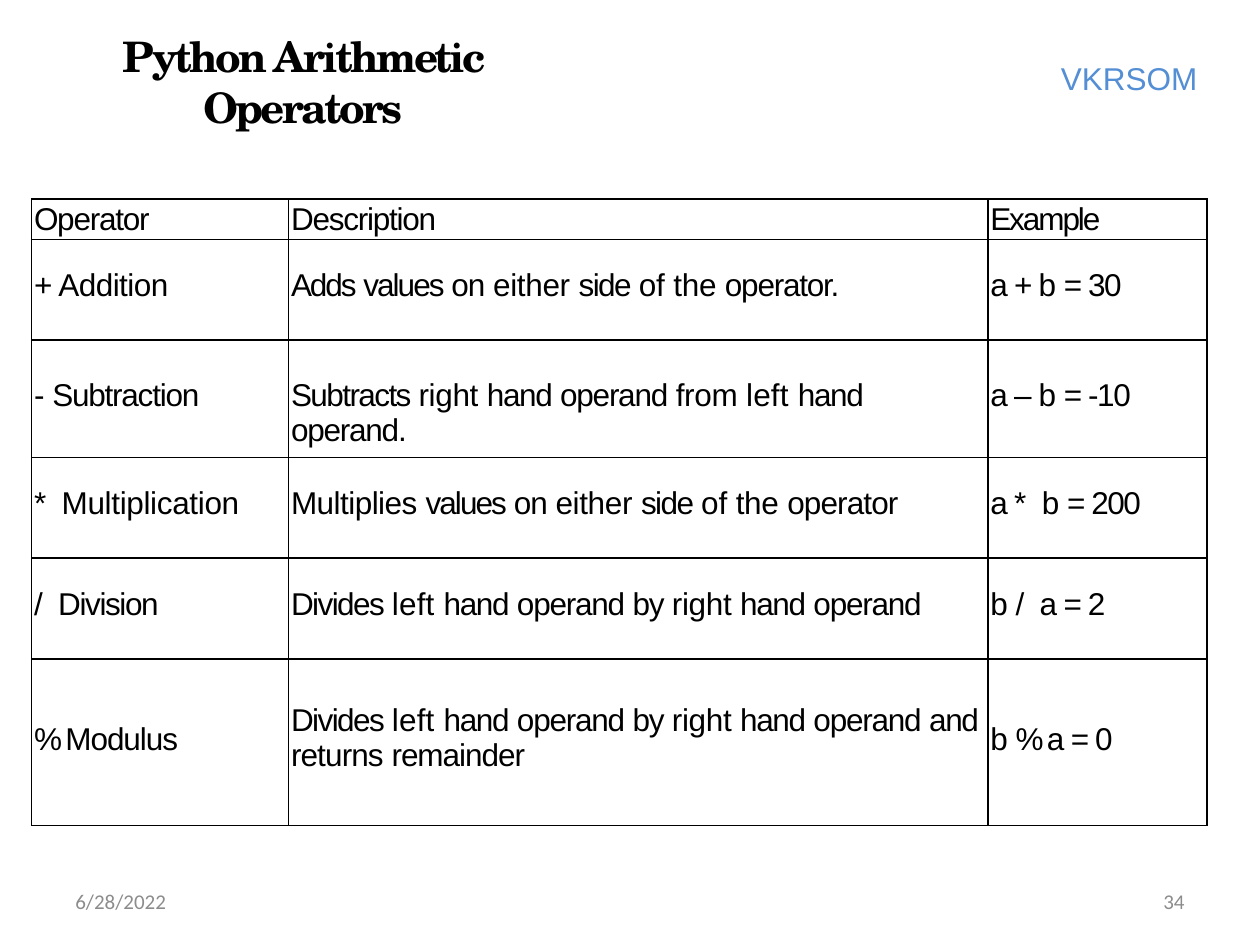
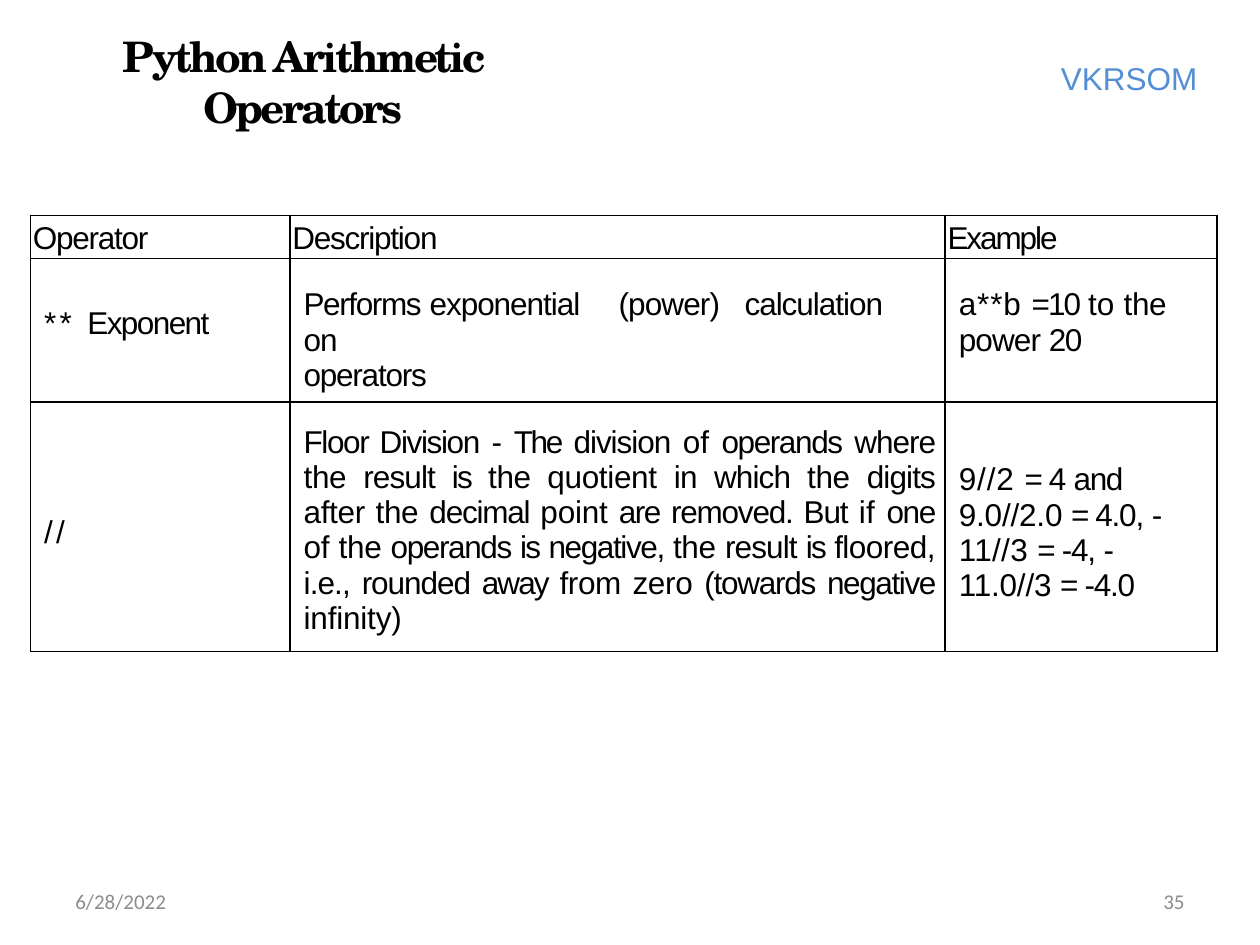
from dataclasses import dataclass
from typing import Optional

from lxml.etree import SubElement
from pptx import Presentation
from pptx.dml.color import RGBColor
from pptx.enum.text import MSO_ANCHOR as Anchor, PP_ALIGN as Align
from pptx.oxml.ns import qn
from pptx.util import Emu, Inches, Pt

SLIDE_WIDTH, SLIDE_HEIGHT = Inches(10), Inches(7.5)
GRID_COLUMNS, GRID_ROWS = 100, 75

BLACK = RGBColor(0x00, 0x00, 0x00)
WHITE = RGBColor(0xFF, 0xFF, 0xFF)
SCHOOL_BLUE = RGBColor(0x54, 0x8E, 0xD4)
FOOTER_GREY = RGBColor(0x8C, 0x8C, 0x8C)

TITLE = "Python Arithmetic Operators"
SCHOOL = "VKRSOM"
DATE = "6/28/2022"
HEADINGS = ("Operator", "Description", "Example")

DEFAULT_TRACKING = -0.7
WORDS_BY_TRACKING = {
    -3.1: "%",
    -1.6: "+ =",
    -1.4: "a The",
    -1.2: "Example Adds",
    -1.1: "– values =10 away",
    -1.0: "is zero",
    -0.9: "side Subtracts Divides Exponent 30 200 2 0 20 4",
    -0.8: "hand by and Performs Floor Division operands are one negative, negative -10",
    -0.6: "b on Modulus exponential calculation division where rounded remainder But",
    -0.5: "- operator returns (power) power result which digits i.e.,",
    -0.3: "Addition Multiplies in floored,",
    -0.2: "Multiplication either the right from quotient after zero",
    -0.1: "of point infinity) 9.0//2.0 11.0//3",
    0.1: "left to",
    0.2: "if 11//3",
    0.5: "a**b 9//2",
    1.9: "* / ** //",
}
TRACKING = {word: points for points, words in WORDS_BY_TRACKING.items() for word in words.split()}


@dataclass(frozen=True)
class Box:
    column: float
    row: float
    columns: float
    rows: float


@dataclass(frozen=True)
class TextStyle:
    font: str
    size: float
    color: RGBColor
    bold: bool = False
    tracking: float = 0


@dataclass(frozen=True)
class Entry:
    text: str
    top: float
    align: Optional[Align] = None
    separator: str = " "
    tabs: tuple[float, ...] = ()


@dataclass(frozen=True)
class OperatorSlide:
    number: int
    left: float
    top: float
    columns: tuple[float, ...]
    rows: tuple[float, ...]
    indent: float
    heading_top: float
    entries: tuple[tuple[Entry, ...], ...]


TITLE_STYLE = TextStyle("TeX Gyre Schola", 24, BLACK, True, -1.6)
SCHOOL_STYLE = TextStyle("Arial", 18, SCHOOL_BLUE)
FOOTER_STYLE = TextStyle("Calibri", 12, FOOTER_GREY)
TITLE_BOX = Box(1.7, 4.3, 44.7, 4.3)
SCHOOL_BOX = Box(84.2, 4.7, 14, 3.3)
DATE_BOX = Box(5, 69.5, 23.3, 4)
NUMBER_BOX = Box(71.7, 69.5, 23.3, 4)
HEADING_INDENT = 0.02


def level_entries(top: float, *texts: str) -> tuple[Entry, ...]:
    return tuple(Entry(text, top) for text in texts)


OPERATOR_SLIDES = (
    OperatorSlide(
        34, 2.5, 15.8, (20.4, 55.5, 17.4), (3.1, 8, 9.3, 8, 8, 13.2), 0.02, 0.02,
        (
            level_entries(0.23, "+ Addition", "Adds values on either side of the operator.", "a + b = 30"),
            level_entries(0.3, "- Subtraction",
                          "Subtracts right hand operand from left hand operand.", "a – b = -10"),
            level_entries(0.23, "* Multiplication",
                          "Multiplies values on either side of the operator", "a * b = 200"),
            level_entries(0.23, "/ Division", "Divides left hand operand by right hand operand", "b / a = 2"),
            (
                Entry("% Modulus", 0.5),
                Entry("Divides left hand operand by right hand operand and returns remainder", 0.35),
                Entry("b % a = 0", 0.5),
            ),
        ),
    ),
    OperatorSlide(
        35, 2.4, 17.1, (20.6, 52, 21.6), (3.3, 11.4, 19.8), 0.11, 0.04,
        (
            (
                Entry("** Exponent", 0.38),
                Entry("Performs\texponential\t(power)\tcalculation\ton\noperators", 0.23,
                      separator="\t", tabs=(1.21, 2.58, 3.57, 4.84)),
                Entry("a**b =10 to the\npower 20", 0.23),
            ),
            (
                Entry("//", 0.9),
                Entry("Floor Division - The division of operands where the result is the quotient "
                      "in which the digits after the decimal point are removed. But if one of the "
                      "operands is negative, the result is floored, i.e., rounded away from zero "
                      "(towards negative infinity)", 0.18, Align.JUSTIFY),
                Entry("9//2 = 4 and\n9.0//2.0 = 4.0, -\n11//3 = -4, -\n11.0//3 = -4.0", 0.48),
            ),
        ),
    ),
)


def across(columns: float) -> Emu:
    return Emu(round(SLIDE_WIDTH * columns / GRID_COLUMNS))


def down(rows: float) -> Emu:
    return Emu(round(SLIDE_HEIGHT * rows / GRID_ROWS))


def place(box: Box) -> tuple[Emu, Emu, Emu, Emu]:
    return across(box.column), down(box.row), across(box.columns), down(box.rows)


def add_run(paragraph, text: str, style: TextStyle, tracking: float) -> None:
    run = paragraph.add_run()
    run.text = text
    run.font.name = style.font
    run.font.size = Pt(style.size)
    run.font.bold = style.bold
    run.font.color.rgb = style.color
    run.font._element.set("spc", str(round(tracking * 100)))


def fill_text(shape, text: str, style: TextStyle, align: Align, anchor: Anchor, padded: bool) -> None:
    frame = shape.text_frame
    frame.word_wrap = True
    frame.vertical_anchor = anchor
    if not padded:
        frame.margin_left = frame.margin_right = frame.margin_top = frame.margin_bottom = 0
    paragraph = frame.paragraphs[0]
    paragraph.alignment = align
    add_run(paragraph, text, style, style.tracking)


def add_label(slide, box: Box, text: str, style: TextStyle, align: Align = Align.LEFT,
              anchor: Anchor = Anchor.MIDDLE, padded: bool = True) -> None:
    fill_text(slide.shapes.add_textbox(*place(box)), text, style, align, anchor, padded)


def add_title(slide) -> None:
    title = slide.shapes.title
    title.left, title.top, title.width, title.height = place(TITLE_BOX)
    fill_text(title, TITLE, TITLE_STYLE, Align.CENTER, Anchor.MIDDLE, False)


def outline_cell(cell) -> None:
    properties = cell._tc.get_or_add_tcPr()
    for index, side in enumerate(("lnL", "lnR", "lnT", "lnB")):
        line = properties.makeelement(qn(f"a:{side}"), {"w": str(Pt(1))})
        fill = SubElement(line, qn("a:solidFill"))
        SubElement(fill, qn("a:srgbClr"), {"val": str(BLACK)})
        properties.insert(index, line)


def indent_paragraph(paragraph, indent: float, tabs: tuple[float, ...]) -> None:
    properties = paragraph._p.get_or_add_pPr()
    properties.set("marL", str(Inches(indent)))
    properties.set("indent", "0")
    if tabs:
        stops = SubElement(properties, qn("a:tabLst"))
        for position in tabs:
            SubElement(stops, qn("a:tab"), {"pos": str(Inches(position)), "algn": "l"})


def write_entry(cell, entry: Entry, indent: float) -> None:
    cell.fill.solid()
    cell.fill.fore_color.rgb = WHITE
    outline_cell(cell)
    cell.margin_left = cell.margin_bottom = 0
    cell.margin_right = Inches(0.08)
    cell.margin_top = Inches(entry.top)
    style = TextStyle("Arial", 18, BLACK)
    frame = cell.text_frame
    for index, line in enumerate(entry.text.split("\n")):
        paragraph = frame.add_paragraph() if index else frame.paragraphs[0]
        paragraph.alignment = entry.align
        indent_paragraph(paragraph, indent, entry.tabs)
        words = line.split(entry.separator)
        for position, word in enumerate(words, 1):
            ending = entry.separator if position < len(words) else ""
            add_run(paragraph, word + ending, style, TRACKING.get(word, DEFAULT_TRACKING))


def add_operator_table(slide, content: OperatorSlide) -> None:
    box = Box(content.left, content.top, sum(content.columns), sum(content.rows))
    operators = slide.shapes.add_table(len(content.rows), len(content.columns), *place(box)).table
    operators.first_row = operators.horz_banding = False
    for column, width in zip(operators.columns, content.columns):
        column.width = across(width)
    headings = level_entries(content.heading_top, *HEADINGS)
    for row_index, entries in enumerate((headings, *content.entries)):
        operators.rows[row_index].height = down(content.rows[row_index])
        indent = content.indent if row_index else HEADING_INDENT
        for column_index, entry in enumerate(entries):
            write_entry(operators.cell(row_index, column_index), entry, indent)


def add_operator_slide(presentation, content: OperatorSlide) -> None:
    slide = presentation.slides.add_slide(presentation.slide_layouts[5])
    add_label(slide, SCHOOL_BOX, SCHOOL, SCHOOL_STYLE, anchor=Anchor.TOP, padded=False)
    add_title(slide)
    add_label(slide, DATE_BOX, DATE, FOOTER_STYLE)
    add_label(slide, NUMBER_BOX, str(content.number), FOOTER_STYLE, Align.RIGHT)
    add_operator_table(slide, content)


def main() -> None:
    presentation = Presentation()
    presentation.slide_width, presentation.slide_height = SLIDE_WIDTH, SLIDE_HEIGHT
    for content in OPERATOR_SLIDES:
        add_operator_slide(presentation, content)
    presentation.save("out.pptx")


if __name__ == "__main__":
    main()
